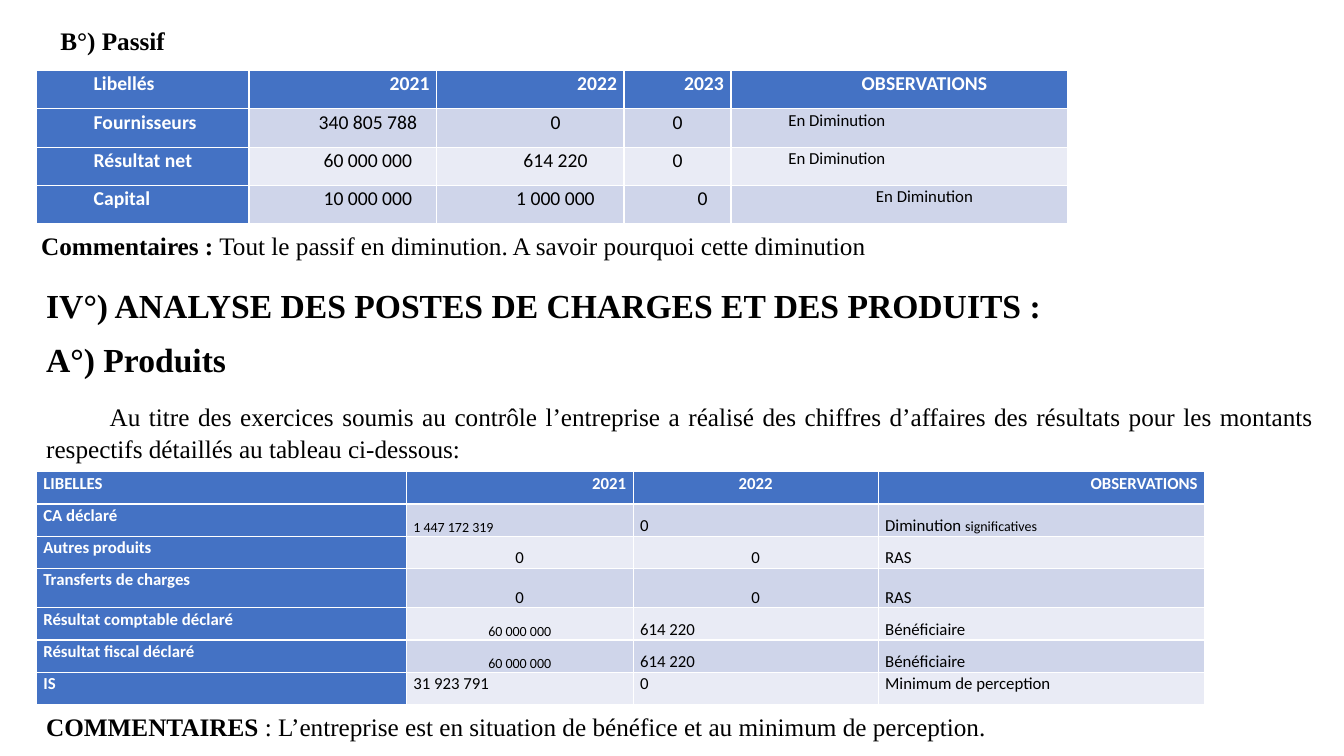
import pptx
import pptx.dml.color
import pptx.enum.text
import pptx.util

prs = pptx.Presentation()
prs.slide_width = pptx.util.Inches(13.33)
prs.slide_height = pptx.util.Inches(7.5)
s = prs.slides.add_slide(prs.slide_layouts[6])
col = prs.slide_width // 1333
row = prs.slide_height // 750

PP = pptx.enum.text.PP_ALIGN
ALIGN = {"l": PP.LEFT, "c": PP.CENTER, "r": PP.RIGHT, "j": PP.JUSTIFY}
BLUE, BANDS = "4472C4", ("E9EBF5", "CFD5EA")


def rgb(value):
    return pptx.dml.color.RGBColor.from_string(value)


def style(p, font, size, color, bold, align="l", left=0, first=0):
    pPr = p._p.get_or_add_pPr()
    pPr.set("marL", str(left * col))
    pPr.set("indent", str(first * col))
    p.alignment = ALIGN[align]
    p.line_spacing = 1.07
    p.space_after = pptx.util.Pt(8)
    p.font.name = font
    p.font.size = pptx.util.Pt(size)
    p.font.bold = bold
    p.font.color.rgb = rgb(color)


texts = [
    ((0, 18, 667, 41), [("B°) Passif", "", 18, "l", 50, 0)]),
    ((31, 221, 1103, 41), [
        ("Commentaires :", " Tout le passif en diminution. A savoir pourquoi cette diminution",
         18, "l", 0, 0)]),
    ((36, 275, 1277, 193), [
        ("IV°) ANALYSE DES POSTES DE CHARGES ET DES PRODUITS :", "", 24, "l", 0, 0),
        ("A°) Produits", "", 24, "l", 0, 0),
        ("", "Au titre des exercices soumis au contrôle l’entreprise a réalisé des chiffres "
         "d’affaires des résultats pour les montants respectifs détaillés au tableau ci-dessous:",
         18, "j", 0, 63)]),
    ((36, 699, 1066, 41), [
        ("COMMENTAIRES ", ": L’entreprise est en situation de bénéfice et au minimum de perception.",
         18, "j", 0, 0)]),
]
for (x, y, w, h), paragraphs in texts:
    sp = s.shapes.add_textbox(x * col, y * row, w * col, h * row)
    tf = sp.text_frame
    tf.word_wrap = True
    tf.auto_size = pptx.enum.text.MSO_AUTO_SIZE.SHAPE_TO_FIT_TEXT
    for i, (strong, plain, size, align, left, first) in enumerate(paragraphs):
        p = tf.add_paragraph() if i else tf.paragraphs[0]
        style(p, "Times New Roman", size, "000000", bool(strong), align, left, first)
        if first:
            p.space_before = pptx.util.Pt(6)
        if strong:
            p.add_run().text = strong
        if plain:
            r = p.add_run()
            r.text = plain
            if strong:
                r.font.bold = False

passif = [
    ("lrrrc", ["Libellés", "2021", "2022", "2023", "OBSERVATIONS"]),
    ("lcccl", ["Fournisseurs", "340 805 788", "0", "0", "En Diminution"]),
    ("lcccl", ["Résultat net", "60 000 000", "614 220", "0", "En Diminution"]),
    ("lcccc", ["Capital", "10 000 000", "1 000 000", "0", "En Diminution"]),
]
produits = [
    ("jrcr", ["LIBELLES", "2021", "2022", "OBSERVATIONS"]),
    ("jlll", ["CA déclaré", "1 447 172 319", "0", "Diminution |significatives"]),
    ("jccl", ["Autres produits", "0", "0", "RAS"]),
    ("jccl", ["Transferts de charges", "0", "0", "RAS"]),
    ("jcll", ["Résultat comptable déclaré", "60 000 000", "614 220", "Bénéficiaire"]),
    ("jcll", ["Résultat fiscal déclaré", "60 000 000", "614 220", "Bénéficiaire"]),
    ("jlll", ["IS", "31 923 791", "0", "Minimum de perception"]),
]
tables = [
    (passif, 70, [211, 186, 186, 106, 334], [38] * 4, 14, 50,
     {(i, 4): 12 for i in (1, 2, 3)}, {(1, 3), (2, 3)}, ()),
    (produits, 468, [367, 225, 243, 324], [32, 32, 32, 39, 32, 32, 32], 12, 0,
     {(i, 1): 10 for i in (1, 4, 5)}, (), range(1, 6)),
]
for rows, top, widths, heights, base, indent, sizes, flush, low_rows in tables:
    tbl = s.shapes.add_table(len(rows), len(widths), 36 * col, top * row,
                             sum(widths) * col, sum(heights) * row).table
    tbl.first_col = True
    for column, width in zip(tbl.columns, widths):
        column.width = width * col
    for i, (aligns, labels) in enumerate(rows):
        tbl.rows[i].height = heights[i] * row
        for j, label in enumerate(labels):
            cell = tbl.cell(i, j)
            head = i == 0 or j == 0
            cell.fill.solid()
            cell.fill.fore_color.rgb = rgb(BLUE if head else BANDS[i % 2])
            cell.margin_left = cell.margin_right = 7 * col
            cell.margin_top = cell.margin_bottom = 0
            if i in low_rows and j:
                cell.vertical_anchor = pptx.enum.text.MSO_ANCHOR.BOTTOM
            p = cell.text_frame.paragraphs[0]
            style(p, "Calibri", sizes.get((i, j), base), "FFFFFF" if head else "000000",
                  head, aligns[j], 0 if (i, j) in flush else indent)
            for k, part in enumerate(label.split("|")):
                r = p.add_run()
                r.text = part
                if k:
                    r.font.size = pptx.util.Pt(10)

prs.save("out.pptx")
